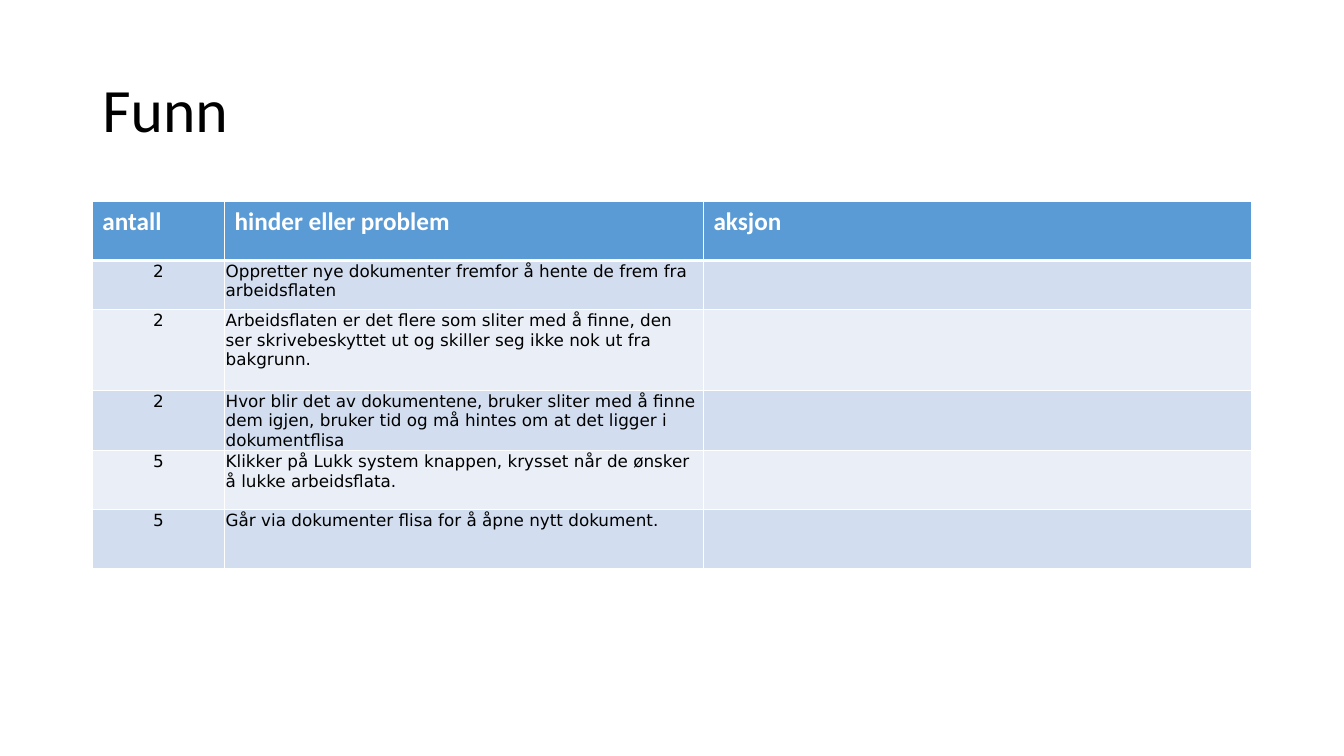
from lxml.etree import SubElement
from pptx import Presentation
from pptx.dml.color import RGBColor
from pptx.enum.text import MSO_ANCHOR, PP_ALIGN
from pptx.oxml.ns import qn
from pptx.util import Pt

PX = 9525
WHITE, BLACK = "FFFFFF", "000000"
HEADER_BLUE = "5B9BD5"
BANDS = ("D2DEEF", "EAEFF7")
COLUMN_WIDTHS = (126, 456, 522)
ROW_HEIGHTS = (56, 47, 77, 56, 56, 56)
HEADINGS = ("antall", "hinder eller problem", "aksjon")
FINDINGS = (
    ("2", "Oppretter nye dokumenter fremfor å hente de frem fra arbeidsflaten", ""),
    ("2", "Arbeidsflaten er det flere som sliter med å finne, den ser "
          "skrivebeskyttet ut og skiller seg ikke nok ut fra bakgrunn.", ""),
    ("2", "Hvor blir det av dokumentene, bruker sliter med å finne dem igjen, "
          "bruker tid og må hintes om at det ligger i dokumentflisa", ""),
    ("5", "Klikker på Lukk system knappen, krysset når de ønsker å lukke "
          "arbeidsflata.", ""),
    ("5", "Går via dokumenter flisa for å åpne nytt dokument.", ""),
)


def px(length):
    """Turn whole pixels into EMU."""
    return length * PX


def color(hex_code):
    """Turn a hex string into a colour."""
    return RGBColor.from_string(hex_code)


def style_font(font, name, size, hex_code, bold=False):
    """Set the look of a font."""
    font.name, font.size, font.bold = name, Pt(size), bold
    font.color.rgb = color(hex_code)


def place(part, left, top, width, height):
    """Position a shape in pixels."""
    part.left, part.top = px(left), px(top)
    part.width, part.height = px(width), px(height)


def add_title(slide, wording):
    """Fill and format the title placeholder."""
    title = slide.shapes.title
    place(title, 88, 38, 1104, 139)
    title.text_frame.text = wording
    title.text_frame.vertical_anchor = MSO_ANCHOR.MIDDLE
    heading = title.text_frame.paragraphs[0]
    heading.alignment = PP_ALIGN.LEFT
    heading.line_spacing = 0.9
    style_font(heading.font, "Calibri", 44, BLACK)


def set_borders(cell, top, bottom):
    """Draw white borders around a cell, widths in points."""
    properties = cell._tc.get_or_add_tcPr()
    for edge, width in (("L", 1), ("R", 1), ("T", top), ("B", bottom)):
        line = SubElement(properties, qn(f"a:ln{edge}"), w=str(Pt(width)))
        fill = SubElement(line, qn("a:solidFill"))
        SubElement(fill, qn("a:srgbClr"), val=WHITE)


def fill_cell(cell, wording, background, top=1, bottom=1):
    """Set the borders, fill and text of a cell."""
    set_borders(cell, top, bottom)
    cell.fill.solid()
    cell.fill.fore_color.rgb = color(background)
    cell.text = wording


def format_finding(cell, alignment):
    """Give a finding its tight margins and small text."""
    cell.margin_left = cell.margin_right = cell.margin_top = px(1)
    cell.margin_bottom = 0
    finding = cell.text_frame.paragraphs[0]
    finding.alignment = alignment
    style_font(finding.font, "DejaVu Sans", 12, BLACK)


def add_findings(slide):
    """Build the table of findings."""
    table = slide.shapes.add_table(
        len(ROW_HEIGHTS), len(COLUMN_WIDTHS), px(88), px(192),
        px(sum(COLUMN_WIDTHS)), px(sum(ROW_HEIGHTS))).table
    for column, width in zip(table.columns, COLUMN_WIDTHS):
        column.width = px(width)
    for row, height in zip(table.rows, ROW_HEIGHTS):
        row.height = px(height)
    for cell, heading in zip(table.rows[0].cells, HEADINGS):
        fill_cell(cell, heading, HEADER_BLUE, bottom=3)
        style_font(cell.text_frame.paragraphs[0].font, "Calibri", 18, WHITE, True)
    for index, finding in enumerate(FINDINGS):
        cells = list(table.rows[index + 1].cells)
        for cell, wording in zip(cells, finding):
            fill_cell(cell, wording, BANDS[index % 2], top=1 if index else 3)
        format_finding(cells[0], PP_ALIGN.CENTER)
        format_finding(cells[1], PP_ALIGN.LEFT)


def main():
    """Build and save the slide."""
    presentation = Presentation()
    presentation.slide_width, presentation.slide_height = px(1280), px(720)
    slide = presentation.slides.add_slide(presentation.slide_layouts[5])
    add_title(slide, "Funn")
    add_findings(slide)
    presentation.save("out.pptx")


if __name__ == "__main__":
    main()
